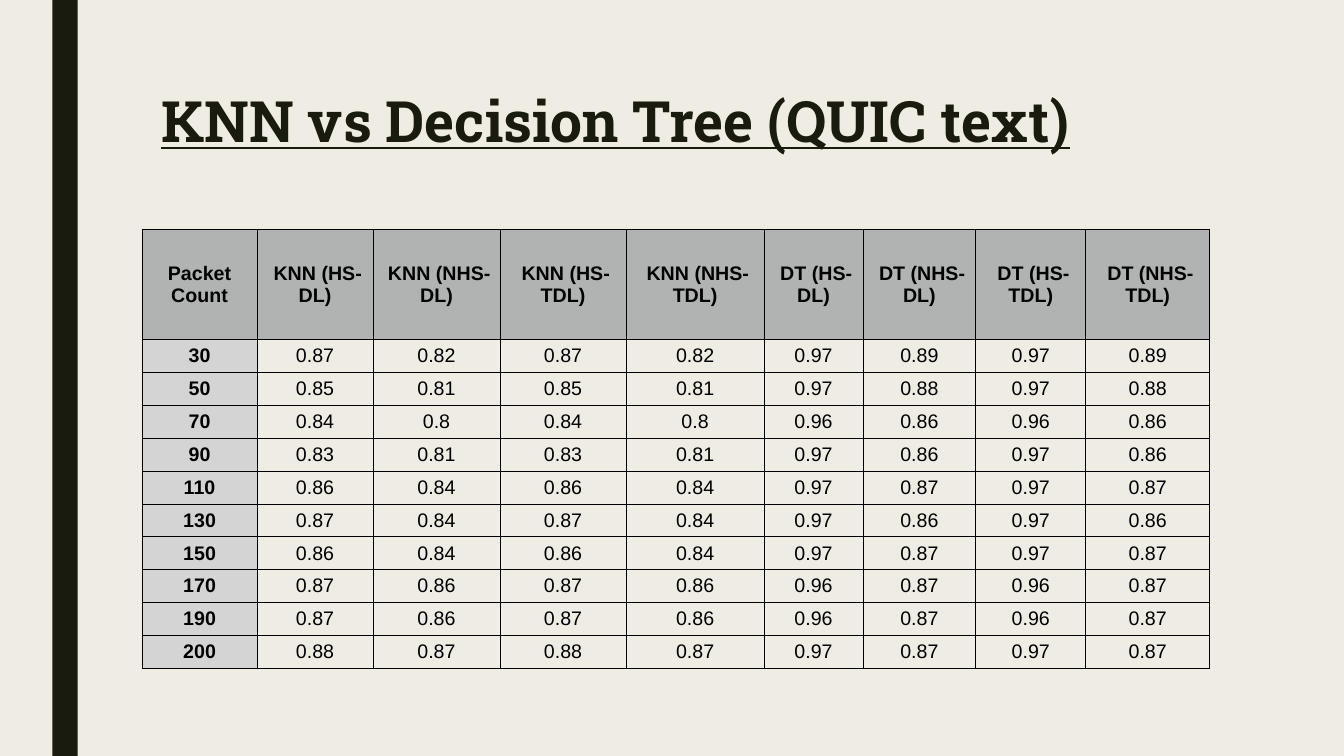
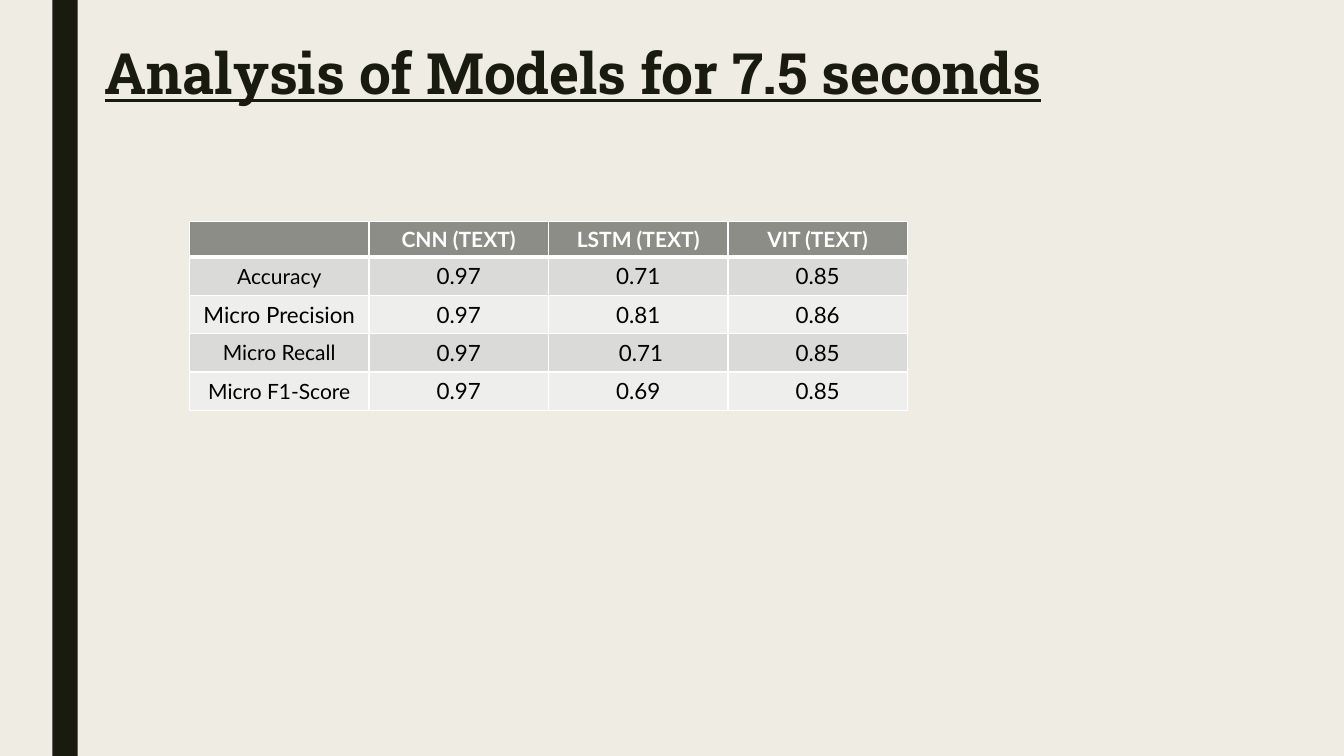
from dataclasses import dataclass

from lxml.etree import SubElement
from pptx import Presentation
from pptx.dml.color import RGBColor
from pptx.enum.shapes import MSO_SHAPE as Shape
from pptx.enum.text import MSO_ANCHOR as Anchor, PP_ALIGN as Align
from pptx.oxml.ns import qn
from pptx.slide import Slide
from pptx.table import _Cell as Cell
from pptx.util import Inches, Pt

PAPER = "EFEDE3"
INK = "191B0E"
BLACK = "000000"
WHITE = "FFFFFF"
TITLE_FONT = "Roboto Slab"
TITLE_SIZE = 40.7
SIDES = ("L", "R", "T", "B")


@dataclass(frozen=True)
class TableStyle:
    font: str
    head_fill: str
    head_color: str
    head_anchor: Anchor
    head_size: float
    label_size: float
    value_size: float
    label_bold: bool
    label_fills: tuple[str, ...]
    value_fills: tuple[str | None, ...]
    border: str
    border_width: float
    head_rule: float
    margin_x: float
    margin_y: float
    large_labels: tuple[str, ...] = ()


@dataclass(frozen=True)
class TableSlide:
    title: str
    title_at: tuple[float, float]
    table_at: tuple[float, float]
    cols: tuple[float, ...]
    head_height: float
    row_height: float
    rows: list[tuple[str, ...]]
    style: TableStyle


GRID = TableStyle(
    font="Arial", head_fill="B0B3B2", head_color=BLACK, head_anchor=Anchor.MIDDLE,
    head_size=14, label_size=14, value_size=14, label_bold=True,
    label_fills=("D4D4D4",), value_fills=(None,),
    border=BLACK, border_width=0.75, head_rule=0.75, margin_x=0.03, margin_y=0.03,
)
BANDED = TableStyle(
    font="Lato", head_fill="8C8D86", head_color=WHITE, head_anchor=Anchor.TOP,
    head_size=15, label_size=15, value_size=16, label_bold=False,
    label_fills=("DADBD9", "EEEEED"), value_fills=("DADBD9", "EEEEED"),
    border=WHITE, border_width=1, head_rule=3, margin_x=0.09, margin_y=0.05,
    large_labels=("Micro Precision",),
)

PACKET_HEAD = (
    "Packet Count",
    " KNN (HS-DL)", " KNN (NHS-DL)", " KNN (HS-TDL)", " KNN (NHS-TDL)",
    " DT (HS-DL)", " DT (NHS-DL)", " DT (HS-TDL)", " DT (NHS-TDL)",
)
PACKET_SCORES = [
    ("30", "0.87", "0.82", "0.97", "0.89"),
    ("50", "0.85", "0.81", "0.97", "0.88"),
    ("70", "0.84", "0.8", "0.96", "0.86"),
    ("90", "0.83", "0.81", "0.97", "0.86"),
    ("110", "0.86", "0.84", "0.97", "0.87"),
    ("130", "0.87", "0.84", "0.97", "0.86"),
    ("150", "0.86", "0.84", "0.97", "0.87"),
    ("170", "0.87", "0.86", "0.96", "0.87"),
    ("190", "0.87", "0.86", "0.96", "0.87"),
    ("200", "0.88", "0.87", "0.97", "0.87"),
]
MODEL_ROWS = [
    ("", "CNN (TEXT)", "LSTM (TEXT)", "VIT (TEXT)"),
    ("Accuracy", "0.97", "0.71", "0.85"),
    ("Micro Precision", "0.97", "0.81", "0.86"),
    ("Micro Recall", "0.97", " 0.71", "0.85"),
    ("Micro F1-Score", "0.97", "0.69", "0.85"),
]

SLIDES = [
    TableSlide(
        title="KNN vs Decision Tree (QUIC text)",
        title_at=(1.5, 0.88), table_at=(1.41, 2.28),
        cols=(1.14, 1.15, 1.26, 1.25, 1.37, 0.98, 1.12, 1.09, 1.23),
        head_height=1.09, row_height=(4.35 - 1.09) / len(PACKET_SCORES),
        rows=[PACKET_HEAD] + [(s[0], *s[1:3] * 2, *s[3:5] * 2) for s in PACKET_SCORES],
        style=GRID,
    ),
    TableSlide(
        title="Analysis of Models for 7.5 seconds",
        title_at=(0.94, 0.41), table_at=(1.88, 2.2),
        cols=(1.78,) * 4, head_height=0.34, row_height=0.38,
        rows=MODEL_ROWS, style=BANDED,
    ),
]


def rgb(value: str) -> RGBColor:
    return RGBColor.from_string(value)


def add_band(slide: Slide) -> None:
    sp = slide.shapes.add_shape(
        Shape.RECTANGLE, Inches(0.52), Inches(0), Inches(0.25), Inches(7.5))
    sp.shadow.inherit = False
    sp.fill.solid()
    sp.fill.fore_color.rgb = rgb(INK)
    sp.line.fill.background()


def add_title(slide: Slide, text: str, at: tuple[float, float]) -> None:
    left, top = at
    tf = slide.shapes.add_textbox(
        Inches(left), Inches(top), Inches(10.5), Inches(0.99)).text_frame
    tf.word_wrap = True
    tf.text = text
    p = tf.paragraphs[0]
    p.line_spacing = 0.89
    font = p.runs[0].font
    font.name, font.size = TITLE_FONT, Pt(TITLE_SIZE)
    font.bold = font.underline = True
    font.color.rgb = rgb(INK)


def set_borders(cell: Cell, color: str, widths: dict[str, float]) -> None:
    tc_pr = cell._tc.get_or_add_tcPr()
    for side in SIDES:
        ln = SubElement(tc_pr, qn(f"a:ln{side}"), w=str(Pt(widths[side])))
        fill = SubElement(ln, qn("a:solidFill"))
        SubElement(fill, qn("a:srgbClr"), val=color)


def set_fill(cell: Cell, color: str | None) -> None:
    if color is None:
        cell.fill.background()
    else:
        cell.fill.solid()
        cell.fill.fore_color.rgb = rgb(color)


def set_text(cell: Cell, text: str, font_name: str, size: float,
             color: str, bold: bool) -> None:
    cell.text_frame.text = text
    p = cell.text_frame.paragraphs[0]
    p.alignment = Align.CENTER
    if not text:
        SubElement(p._p, qn("a:endParaRPr"), sz=str(int(size * 100)))
    for r in p.runs:
        r.font.name, r.font.size, r.font.bold = font_name, Pt(size), bold
        r.font.color.rgb = rgb(color)


def format_cell(cell: Cell, text: str, row: int, col: int, st: TableStyle) -> None:
    widths = dict.fromkeys(SIDES, st.border_width)
    if row < 2:
        widths["B" if row == 0 else "T"] = st.head_rule
    set_borders(cell, st.border, widths)
    cell.margin_left = cell.margin_right = Inches(st.margin_x)
    cell.margin_top = cell.margin_bottom = Inches(st.margin_y)

    if row == 0:
        cell.vertical_anchor = st.head_anchor
        set_fill(cell, st.head_fill)
        set_text(cell, text, st.font, st.head_size, st.head_color, True)
        return

    is_label = col == 0
    fills = st.label_fills if is_label else st.value_fills
    small = is_label and text not in st.large_labels
    cell.vertical_anchor = Anchor.MIDDLE
    set_fill(cell, fills[(row - 1) % len(fills)])
    set_text(cell, text, st.font, st.label_size if small else st.value_size,
             BLACK, is_label and st.label_bold)


def add_score_table(slide: Slide, content: TableSlide) -> None:
    left, top = content.table_at
    heights = [content.head_height] + [content.row_height] * (len(content.rows) - 1)
    table = slide.shapes.add_table(
        len(heights), len(content.cols), Inches(left), Inches(top),
        Inches(sum(content.cols)), Inches(sum(heights))).table
    table.first_row = table.horz_banding = False
    for column, width in zip(table.columns, content.cols):
        column.width = Inches(width)
    for i, (height, texts) in enumerate(zip(heights, content.rows)):
        table.rows[i].height = Inches(height)
        for j, text in enumerate(texts):
            format_cell(table.cell(i, j), text, i, j, content.style)


def main() -> None:
    prs = Presentation()
    prs.slide_width, prs.slide_height = Inches(13.33), Inches(7.5)
    background = prs.slide_master.background.fill
    background.solid()
    background.fore_color.rgb = rgb(PAPER)
    for content in SLIDES:
        slide = prs.slides.add_slide(prs.slide_layouts[6])
        add_band(slide)
        add_title(slide, content.title, content.title_at)
        add_score_table(slide, content)
    prs.save("out.pptx")


if __name__ == "__main__":
    main()
